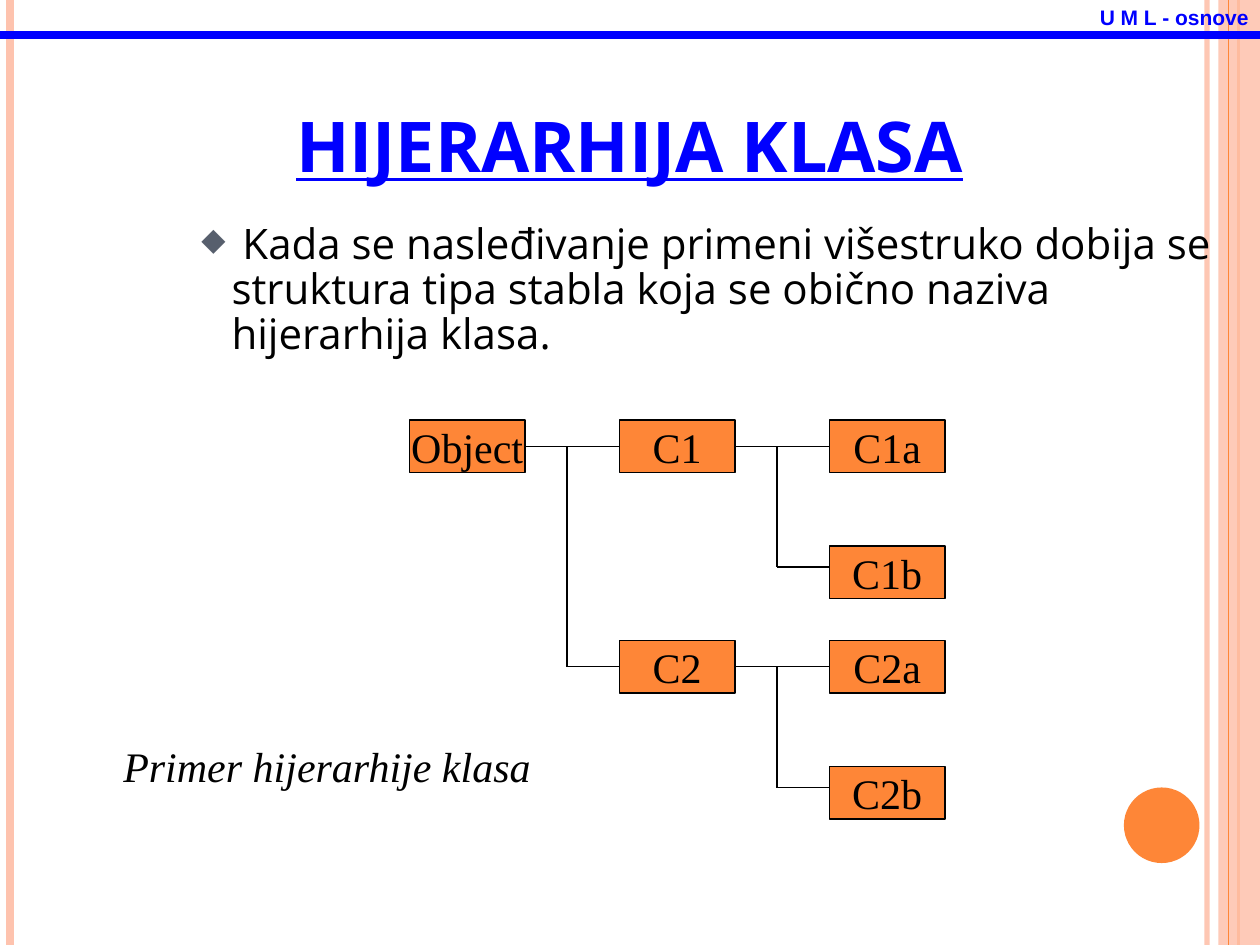
from typing import NamedTuple

from lxml.etree import SubElement
from pptx import Presentation
from pptx.dml.color import RGBColor
from pptx.enum.shapes import MSO_CONNECTOR, MSO_SHAPE as SHAPE
from pptx.enum.text import MSO_ANCHOR as ANCHOR, MSO_AUTO_SIZE as FIT, PP_ALIGN as ALIGN
from pptx.oxml.ns import qn
from pptx.util import Inches, Pt

WIDTH, HEIGHT = 10, 7.5
BLUE, ORANGE, PEACH, BLACK = "0000FF", "FE8637", "FEC3AE", "000000"
SERIF, SANS = "Times New Roman", "Open Sans"

# Tree grid: 12 units to the inch
UNIT = 1 / 12
NODE_W, NODE_H = 11, 5
STEM = 4           # from a parent's right side to its vertical branch
COLS = (39, 59, 79)


class Stripe(NamedTuple):
    x: float
    color: str
    width: float
    alpha: int = 100


class Node(NamedTuple):
    text: str
    col: int
    row: float


class Branch(NamedTuple):
    parent: str
    straight: str
    lower: str
    joined: bool    # the lower branch meets the middle of the node's side


STRIPES = (Stripe(9.58, PEACH, 3, 93), Stripe(0.08, PEACH, 4.5), Stripe(9.83, ORANGE, 1.5))
THIN_STRIPE = Stripe(9.75, ORANGE, 0.75)
NODES = (
    Node("Object", 0, 40),
    Node("C1", 1, 40), Node("C2", 1, 61),
    Node("C1a", 2, 40), Node("C1b", 2, 52),
    Node("C2a", 2, 61), Node("C2b", 2, 73),
)
BRANCHES = (
    Branch("Object", "C1", "C2", True),
    Branch("C1", "C1a", "C1b", False),
    Branch("C2", "C2a", "C2b", False),
)


def rgb(color: str) -> RGBColor:
    return RGBColor.from_string(color)


def set_alpha(element, percent: int) -> None:
    clr = next(element.iter(qn("a:srgbClr")))
    SubElement(clr, qn("a:alpha"), val=str(percent * 1000))


def add_line(shapes, x1: float, y1: float, x2: float, y2: float,
             color: str = BLACK, width: float = 0.75, alpha: int = 100):
    s = shapes.add_connector(MSO_CONNECTOR.STRAIGHT, *map(Inches, (x1, y1, x2, y2)))
    s.line.color.rgb = rgb(color)
    s.line.width = Pt(width)
    sp_pr = s._element.spPr
    if alpha < 100:
        set_alpha(sp_pr, alpha)
    SubElement(sp_pr, qn("a:effectLst"))
    return s


def add_shape(shapes, kind, x: float, y: float, w: float, h: float,
              fill: str, line: str | None = None):
    s = shapes.add_shape(kind, *map(Inches, (x, y, w, h)))
    s.shadow.inherit = False
    s.fill.solid()
    s.fill.fore_color.rgb = rgb(fill)
    if line:
        s.line.color.rgb = rgb(line)
        s.line.width = Pt(0.75)
    else:
        s.line.fill.background()
    return s


def write(s, text: str, *, size: float = 24, font: str = SERIF, color: str = BLACK,
          bold: bool = False, italic: bool = False, underline: bool = False,
          align=ALIGN.LEFT, anchor=ANCHOR.TOP, wrap: bool = True, fit=FIT.NONE):
    tf = s.text_frame
    tf.word_wrap, tf.auto_size, tf.vertical_anchor = wrap, fit, anchor
    p = tf.paragraphs[0]
    p.alignment = align
    r = p.add_run()
    r.text = text
    f = r.font
    f.size, f.name, f.color.rgb = Pt(size), font, rgb(color)
    f.bold, f.italic, f.underline = bold, italic, underline
    return p


def add_text(shapes, x: float, y: float, w: float, h: float, text: str, **fmt):
    s = shapes.add_textbox(*map(Inches, (x, y, w, h)))
    return write(s, text, fit=FIT.SHAPE_TO_FIT_TEXT, **fmt)


def add_bullet(p, char: str, color: str, percent: int, indent: float) -> None:
    p_pr = p._p.get_or_add_pPr()
    p_pr.set("marL", str(Inches(indent)))
    p_pr.set("indent", str(-Inches(indent)))
    SubElement(SubElement(p_pr, qn("a:buClr")), qn("a:srgbClr"), val=color)
    SubElement(p_pr, qn("a:buSzPct"), val=str(percent * 1000))
    SubElement(p_pr, qn("a:buChar"), char=char)


def add_tree(shapes) -> None:
    group = shapes.add_group_shape().shapes
    boxes, grid = {}, {n.text: n for n in NODES}
    for n in NODES:
        s = add_shape(group, SHAPE.RECTANGLE, COLS[n.col] * UNIT, n.row * UNIT,
                      NODE_W * UNIT, NODE_H * UNIT, ORANGE, BLACK)
        write(s, n.text, align=ALIGN.CENTER, anchor=ANCHOR.MIDDLE, wrap=False)
        boxes[n.text] = s

    for b in BRANCHES:
        parent, lower = grid[b.parent], grid[b.lower]
        right = (COLS[parent.col] + NODE_W) * UNIT
        stem = right + STEM * UNIT
        child = COLS[lower.col] * UNIT
        top = (parent.row + NODE_H / 2) * UNIT
        bottom = (lower.row + (NODE_H / 2 if b.joined else 2)) * UNIT
        s = add_line(group, right, top, child, top)
        s.begin_connect(boxes[b.parent], 3)
        s.end_connect(boxes[b.straight], 1)
        add_line(group, stem, top, stem, bottom)
        s = add_line(group, stem, bottom, child, bottom)
        if b.joined:
            s.end_connect(boxes[b.lower], 1)


def main() -> None:
    prs = Presentation()
    prs.slide_width, prs.slide_height = Inches(WIDTH), Inches(HEIGHT)
    slide = prs.slides.add_slide(prs.slide_layouts[5])
    shapes = slide.shapes

    # Side stripes and circle
    for st in STRIPES:
        add_line(shapes, st.x, 0, st.x, HEIGHT, st.color, st.width, st.alpha)
    band = add_shape(shapes, SHAPE.RECTANGLE, 9.67, 0, 0.33, HEIGHT, PEACH)
    set_alpha(band._element.spPr, 87)
    st = THIN_STRIPE
    add_line(shapes, st.x, 0, st.x, HEIGHT, st.color, st.width)
    add_shape(shapes, SHAPE.OVAL, 8.92, 6.25, 0.6, 0.6, ORANGE)

    # Title
    title = shapes.title
    title.left, title.top, title.width, title.height = map(Inches, (2.25, 0.13, 7.75, 1.4))
    write(title, "HIJERARHIJA KLASA", size=40, font=SANS, color=BLUE,
          bold=True, underline=True, anchor=ANCHOR.BOTTOM)

    # Class tree and its caption
    add_tree(shapes)
    add_text(shapes, 0.88, 5.83, 7.25, 0.5, "Primer hijerarhije klasa", italic=True)

    # Explanation
    p = add_text(shapes, 1.5, 1.72, 8.26, 1.3,
                 " Kada se nasleđivanje primeni višestruko dobija se struktura tipa "
                 "stabla koja se obično naziva hijerarhija klasa.", font=SANS)
    p.line_spacing = 0.9
    add_bullet(p, "◆", "575F6D", 75, 0.24)

    # Header
    add_line(shapes, 0, 0.28, WIDTH, 0.28, BLUE, 4.5)
    add_text(shapes, 8.63, -0.01, 1.38, 0.3, "U M L - osnove", size=12, font="Arial",
             color=BLUE, bold=True, wrap=False)

    prs.save("out.pptx")


if __name__ == "__main__":
    main()
